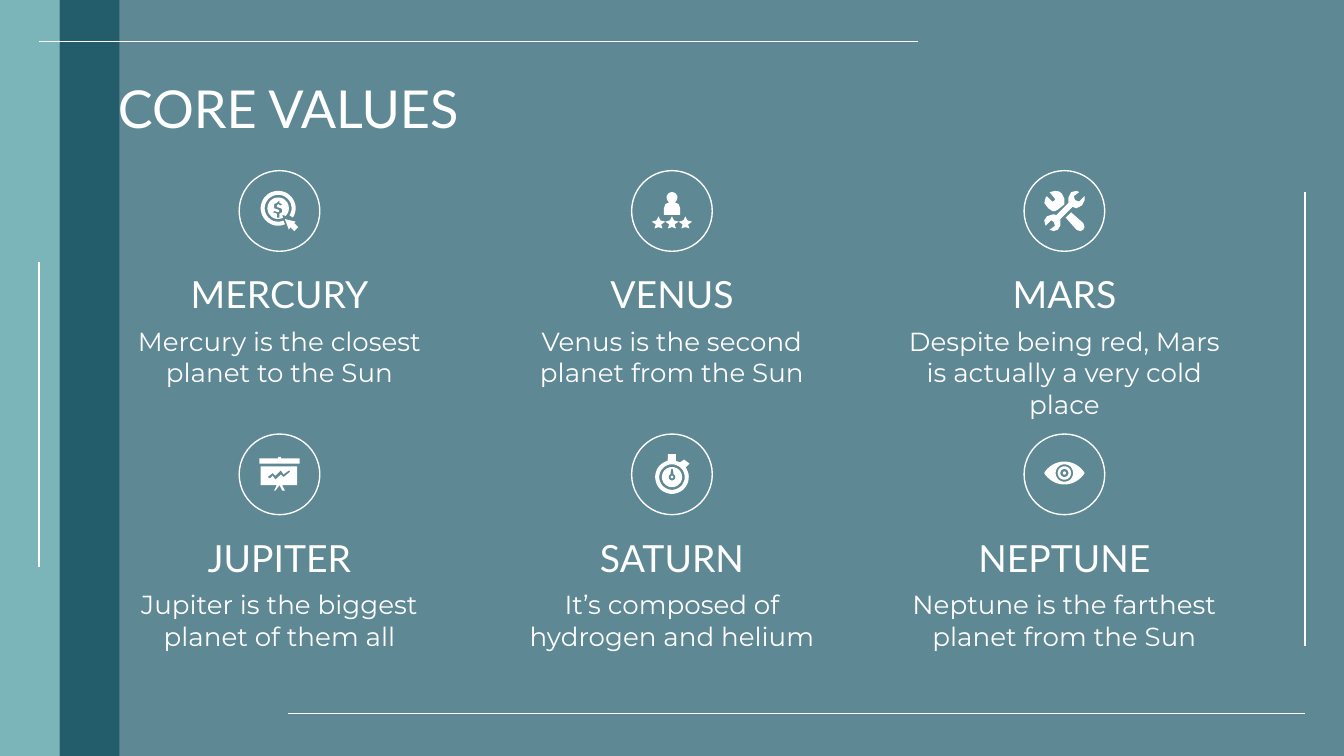
from dataclasses import dataclass
from math import cos, radians, sin

from pptx import Presentation
from pptx.dml.color import RGBColor
from pptx.enum.shapes import MSO_CONNECTOR, MSO_SHAPE
from pptx.enum.text import MSO_ANCHOR, PP_ALIGN
from pptx.oxml.ns import qn
from pptx.oxml.xmlchemy import OxmlElement
from pptx.util import Inches, Pt

RECT = MSO_SHAPE.RECTANGLE
OVAL = MSO_SHAPE.OVAL
STRAIGHT = MSO_CONNECTOR.STRAIGHT
TOP = MSO_ANCHOR.TOP
LEFT = PP_ALIGN.LEFT
CENTER = PP_ALIGN.CENTER

WIDTH = 10
HEIGHT = WIDTH * 9 / 16
STRIP = 0.89 / 2
COLUMN = 2.59
CIRCLE = 0.6


@dataclass(frozen=True)
class Theme:
    white: RGBColor = RGBColor(0xFF, 0xFF, 0xFF)
    petrol: RGBColor = RGBColor(0x01, 0x43, 0x55)
    aqua: RGBColor = RGBColor(0x98, 0xE0, 0xE0)
    heading_font: str = "Lato"
    body_font: str = "Montserrat"
    title: int = 28
    heading: int = 20
    body: int = 14
    line: float = 0.75


def arc(cx, cy, r, start=0, end=360, steps=36):
    angles = [radians(start + (end - start) * i / steps) for i in range(steps + 1)]
    return [(cx + r * cos(a), cy + r * sin(a)) for a in angles]


def star(cx):
    points = [(0, 4), (-1.5, 7), (-5, 8), (-2, 10), (-3, 13),
              (0, 12), (3, 13), (2, 10), (5, 8), (1.5, 7)]
    return [(cx + x, y) for x, y in points]


class Deck:
    def __init__(self, slide, theme):
        self.s = slide
        self.t = theme

    def panel(self, x, w, color, alpha):
        sp = self.s.shapes.add_shape(RECT, Inches(x), 0, Inches(w), Inches(HEIGHT))
        sp.shadow.inherit = False
        sp.fill.solid()
        sp.fill.fore_color.rgb = color
        sp.line.fill.background()
        el = OxmlElement("a:alpha")
        el.set("val", str(alpha * 1000))
        sp._element.spPr.find(".//" + qn("a:srgbClr")).append(el)

    def rule(self, *ends):
        ln = self.s.shapes.add_connector(STRAIGHT, *map(Inches, ends))
        ln.line.color.rgb = self.t.white
        ln.line.width = Pt(self.t.line)
        ln._element.spPr.append(OxmlElement("a:effectLst"))

    def text(self, x, y, w, h, text, font, size, align=CENTER):
        sp = self.s.shapes.add_textbox(*map(Inches, (x, y, w, h)))
        tf = sp.text_frame
        tf.word_wrap = True
        tf.vertical_anchor = TOP
        tf.margin_left = tf.margin_right = Inches(0.1)
        tf.margin_top = tf.margin_bottom = Inches(0.1)
        p = tf.paragraphs[0]
        p.alignment = align
        r = p.add_run()
        r.text = text
        r.font.name = font
        r.font.size = Pt(size)
        r.font.color.rgb = self.t.white

    def circle(self, x, y, d):
        sp = self.s.shapes.add_shape(OVAL, *map(Inches, (x, y, d, d)))
        sp.shadow.inherit = False
        sp.fill.background()
        sp.line.color.rgb = self.t.white
        sp.line.width = Pt(self.t.line)

    def icon(self, cx, cy, parts):
        group = self.s.shapes.add_group_shape()
        for contours in parts:
            scaled = [[(x * 10, y * 10) for x, y in c] for c in contours]
            first, *holes = scaled
            fb = group.shapes.build_freeform(*first[0], scale=Inches(1) / 1000)
            fb.add_line_segments(first[1:], close=True)
            for hole in holes:
                fb.move_to(*hole[0])
                fb.add_line_segments(hole[1:], close=True)
            sp = fb.convert_to_shape(Inches(cx), Inches(cy))
            sp.shadow.inherit = False
            sp.fill.solid()
            sp.fill.fore_color.rgb = self.t.white
            sp.line.fill.background()


DOLLAR = [(0, -8), (0, -6), (2, -5), (1, -4), (-1, -5), (-2, -4), (-2, -3), (1, -2),
          (2, -1), (2, 1), (0, 2), (0, 5), (-2, 5), (-2, 2), (-5, 1), (-4, 0),
          (-1, 1), (0, 0), (-1, -1), (-4, -2), (-4, -5), (-2, -6)]
POINTER = [(4, 6), (7, 14), (8, 12), (11, 15), (14, 12), (11, 9), (12, 8)]
COIN = [
    [arc(-1, -2, 13, 67, 392) + arc(-1, -2, 10, 392, 67)],
    [arc(-1, -2, 8, 63, 405) + [(2, 3)], DOLLAR],
    [POINTER],
]

PERSON = arc(0, -10, 4, 120, 420) + [(5, -5), (6, -2), (6, 3), (-6, 3), (-6, -2), (-5, -5)]
RATING = [[PERSON]] + [[star(x)] for x in (-10, 0, 10)]

BROKEN_WRENCH = [(-7, -15), (-11, -14), (-7, -9), (-7, -8), (-9, -7), (-13, -11),
                 (-14, -10), (-15, -6), (-12, -2), (-9, 0), (-7, 0), (-5, -1),
                 (0, -5), (0, -9), (-2, -13), (-4, -14.5)]
HANDLE = [(5, 1), (1, 5), (9, 14), (12, 15), (14, 14), (15, 12), (14, 9)]
WRENCH = [(9, -15), (5, -14), (3, -10), (3, -6), (-6, 3), (-8, 2.5), (-10, 3),
          (-13, 4), (-15, 7), (-14, 11), (-10, 7), (-8, 8), (-7, 11), (-11, 14),
          (-8, 15), (-5, 14), (-3, 11), (-3, 6), (6, -3), (9, -2), (13, -4),
          (15, -8), (15, -11), (11, -7), (8, -8), (7, -11), (11, -14)]
TOOLS = [[BROKEN_WRENCH], [HANDLE], [WRENCH]]

RAIL = [(-1, -13), (-1, -12), (-15, -12), (-15, -8), (15, -8), (15, -12), (1, -12), (1, -13)]
EASEL = [(-14, -6), (-14, 8), (-2, 8), (-4, 12), (-3, 12), (0, 8), (2, 12), (4, 12),
         (2, 8), (13, 8), (13, -6)]
TREND = [(7, -3), (8, -2), (3, 2), (1, 0), (-3, 4), (-5, 1), (-7, 3), (-9, 2),
         (-5, -1), (-3, 1), (1, -3), (3, 0)]
BOARD = [[RAIL], [EASEL, TREND]]

CASE = arc(0, 2, 12.5, -35, 255) + [(-3, -15), (3, -15), (3, -10), (6, -9), (9, -11), (13, -8)]
HAND = arc(0, 2, 2.5, -65, 245) + [(-0.8, -4), (0.8, -4)]
STOPWATCH = [[arc(0, 2, 1)], [arc(0, 2, 7.5), HAND], [CASE, arc(0, 2, 9.5)]]

LIDS = arc(0, 8, 17.5, -149, -31) + arc(0, -10, 17.5, 31, 149)
EYE = [[arc(0, -1, 1.2)], [arc(0, -1, 5), arc(0, -1, 3)], [LIDS, arc(0, -1, 6.5)]]

VALUES = [
    ("MERCURY", "Mercury is the closest planet to the Sun", COIN),
    ("VENUS", "Venus is the second planet from the Sun", RATING),
    ("MARS", "Despite being red, Mars is actually a very cold place", TOOLS),
    ("JUPITER", "Jupiter is the biggest planet of them all", BOARD),
    ("SATURN", "It’s composed of hydrogen and helium", STOPWATCH),
    ("NEPTUNE", "Neptune is the farthest planet from the Sun", EYE),
]
RULES = [(9.71, 1.43, 9.71, 4.81), (9.71, 5.31, 2.14, 5.31),
         (0.29, 0.31, 6.83, 0.31), (0.29, 1.95, 0.29, 4.22)]


def main():
    prs = Presentation()
    prs.slide_width, prs.slide_height = Inches(WIDTH), Inches(HEIGHT)
    t = Theme()
    deck = Deck(prs.slides.add_slide(prs.slide_layouts[6]), t)
    deck.panel(0, WIDTH, t.petrol, 63)
    deck.panel(STRIP, STRIP, t.petrol, 63)
    deck.panel(0, STRIP, t.aqua, 50)
    for ends in RULES:
        deck.rule(*ends)
    deck.text(0.78, 0.47, 8.44, 0.51, "CORE VALUES", t.heading_font, t.title, LEFT)
    for i, (name, note, parts) in enumerate(VALUES):
        row, col = divmod(i, 3)
        x, y = WIDTH / 2 + 2.92 * (col - 1), 1.57 + 1.96 * row
        left = x - COLUMN / 2
        deck.text(left, y + 0.35, COLUMN, 0.4, name, t.heading_font, t.heading)
        deck.text(left, y + 0.75, COLUMN, 0.58, note, t.body_font, t.body)
        deck.circle(x - CIRCLE / 2, y - CIRCLE / 2, CIRCLE)
        deck.icon(x, y, parts)
    prs.save("out.pptx")


if __name__ == "__main__":
    main()
